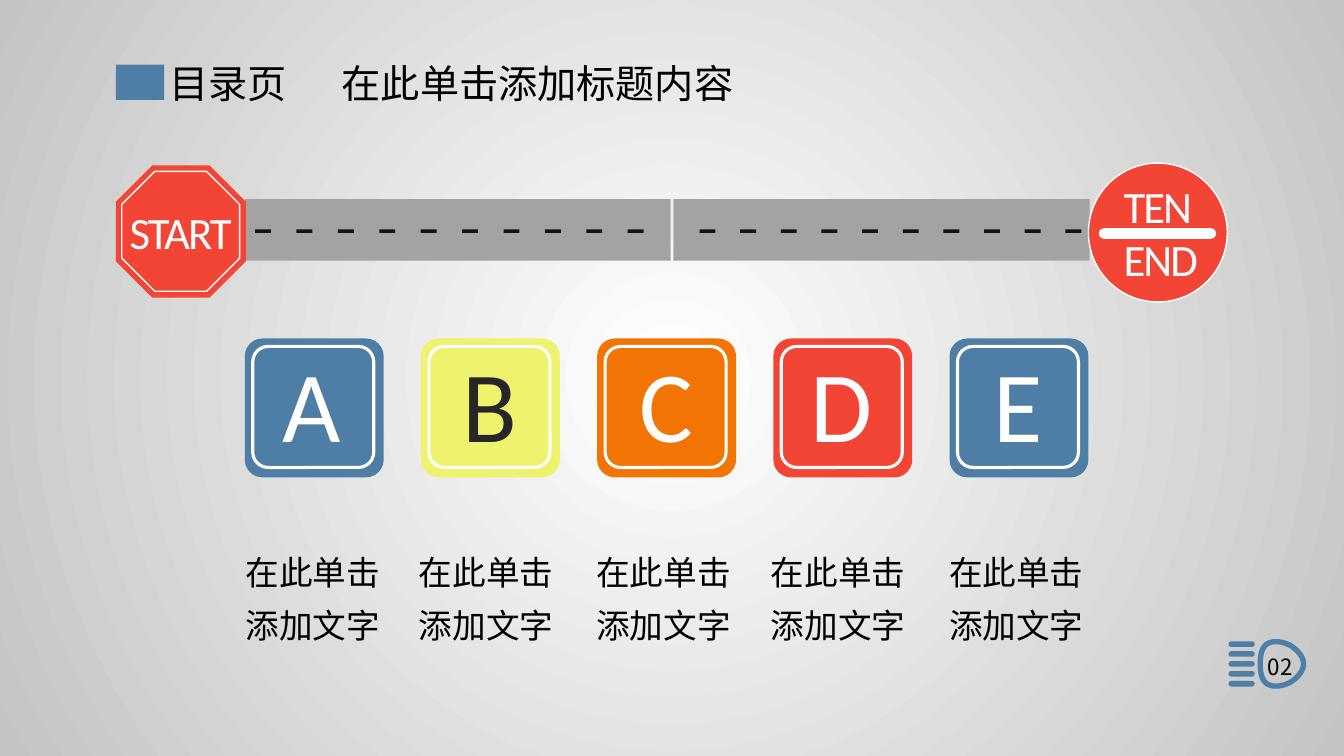
import pptx
import pptx.dml.color
import pptx.enum.shapes
import pptx.enum.text
import pptx.oxml
import pptx.oxml.ns
import pptx.util

Cm = pptx.util.Cm
Pt = pptx.util.Pt
SHAPE = pptx.enum.shapes.MSO_SHAPE
ALIGN = pptx.enum.text.PP_ALIGN
qn = pptx.oxml.ns.qn

BLUE, YELLOW, ORANGE, RED = "4E7DA6", "EEF26D", "F27405", "F24535"
WHITE, BLACK, DARK, GREY, INK = "FFFFFF", "000000", "262626", "A3A3A3", "141414"
CJK = "Noto Sans CJK SC"


def rgb(value):
    """Turn a hex string into a colour."""
    return pptx.dml.color.RGBColor.from_string(value)


def write(sp, text, size=24, font=CJK, color=BLACK, align=ALIGN.LEFT,
          spacing=None, track=None, wrap=True):
    """Put formatted text into a shape."""
    tf = sp.text_frame
    tf.word_wrap = wrap
    tf.auto_size = pptx.enum.text.MSO_AUTO_SIZE.NONE
    tf.vertical_anchor = pptx.enum.text.MSO_ANCHOR.TOP
    p = tf.paragraphs[0]
    p.text = text
    p.alignment = align
    if spacing:
        p.line_spacing = spacing
    for r in p.runs:
        r.font.size = Pt(size)
        r.font.name = font
        r.font.color.rgb = rgb(color)
        rpr = r.font._element
        rpr.find(qn("a:latin")).addnext(
            rpr.makeelement(qn("a:ea"), {"typeface": font}))
        if track:
            rpr.set("spc", str(track))


def bezier(a, b, c, d, steps=12):
    """Sample a cubic curve, leaving out its first point."""
    return [tuple((1 - t) ** 3 * m + 3 * (1 - t) ** 2 * t * n
                  + 3 * (1 - t) * t ** 2 * o + t ** 3 * q
                  for m, n, o, q in zip(a, b, c, d))
            for t in (i / steps for i in range(1, steps + 1))]


class Deck:
    """Hold the style and the current slide."""

    def __init__(self, prs):
        """Add a title-only slide."""
        self.s = prs.slides.add_slide(prs.slide_layouts[5])

    def background(self, inner, outer):
        """Fill the background with a radial gradient."""
        fill = self.s.background.fill
        fill.gradient()
        for stop, color in zip(fill.gradient_stops, (inner, outer)):
            stop.color.rgb = rgb(color)
        grad = next(self.s.element.iter(qn("a:gradFill")))
        grad.replace(grad.find(qn("a:lin")), pptx.oxml.parse_xml(
            '<a:path xmlns:a="http://schemas.openxmlformats.org/drawingml/2006/main" '
            'path="circle"><a:fillToRect l="50000" t="50000" r="50000" b="50000"/></a:path>'))

    def paint(self, sp, fill=None, line=None, width=1):
        """Set the fill and outline of a shape."""
        sp.shadow.inherit = False
        if fill:
            sp.fill.solid()
            sp.fill.fore_color.rgb = rgb(fill)
        else:
            sp.fill.background()
        if line:
            sp.line.color.rgb = rgb(line)
            sp.line.width = Pt(width)
        else:
            sp.line.fill.background()

    def shape(self, kind, x, y, w, h, adj=None, **style):
        """Add a preset shape."""
        sp = self.s.shapes.add_shape(kind, Cm(x), Cm(y), Cm(w), Cm(h))
        if adj is not None:
            sp.adjustments[0] = adj
        self.paint(sp, **style)

    def outline(self, contours, **style):
        """Add a freeform made of closed contours."""
        contours = [[(Cm(x), Cm(y)) for x, y in pts] for pts in contours]
        fb = self.s.shapes.build_freeform(*contours[0][0])
        for i, pts in enumerate(contours):
            if i:
                fb.move_to(*pts[0])
            fb.add_line_segments(pts[1:], close=True)
        self.paint(fb.convert_to_shape(), **style)

    def text(self, text, x, y, w, h, **fmt):
        """Add a text box."""
        sp = self.s.shapes.add_textbox(Cm(x), Cm(y), Cm(w), Cm(h))
        write(sp, text, **fmt)

    def title(self, text, x, y, w, h, **fmt):
        """Place and format the title."""
        sp = self.s.shapes.title
        sp.left, sp.top, sp.width, sp.height = Cm(x), Cm(y), Cm(w), Cm(h)
        write(sp, text, **fmt)

    def road(self, x, w, first, last, count=10):
        """Add a stretch of road with its dashes."""
        self.shape(SHAPE.RECTANGLE, x, 5.02, w, 1.55, fill=GREY)
        step = (last - first) / (count - 1)
        lefts = [first + i * step for i in range(count)]
        self.outline([[(l, 5.78), (l + 0.4, 5.78), (l + 0.4, 5.87), (l, 5.87)]
                      for l in lefts], fill=INK)

    def tile(self, x, letter, center, caption_x, fill, color):
        """Add a lettered tile and its caption."""
        self.shape(SHAPE.ROUNDED_RECTANGLE, x, 8.53, 3.5, 3.5, adj=0.127, fill=fill)
        self.shape(SHAPE.ROUNDED_RECTANGLE, x + 0.2, 8.73, 3.05, 3.05, adj=0.127,
                   line=WHITE, width=2.25)
        self.text(letter, center - 1, 8.48, 2, 3.33, size=72, font="Calibri",
                  color=color, align=ALIGN.CENTER, wrap=False)
        self.text("在此单击添加文字", caption_x, 13.49, 4.06, 2.92, spacing=1.3)

    def headlamp(self):
        """Add the headlamp around the page number."""
        upper = [(32.85, 16.73), (32.85, 16.59), (32.77, 16.46), (32.61, 16.33),
                 (32.49, 16.23), (32.31, 16.17), (32.16, 16.17),
                 (31.9, 16.17), (31.76, 16.31), (31.76, 16.73)]
        lower = [(x, 33.46 - y) for x, y in reversed(upper)]
        knots = upper + lower[1:]
        pts = knots[:1]
        for i in range(0, len(knots) - 1, 3):
            pts += bezier(*knots[i:i + 4])
        self.outline([pts], line=BLUE, width=3.8)
        for i in range(5):
            self.shape(SHAPE.ROUNDED_RECTANGLE, 30.96, 16.16 + 0.25 * i, 0.66, 0.14,
                       adj=0.5, fill=BLUE)


def main():
    """Build the slide."""
    prs = pptx.Presentation()
    prs.slide_width, prs.slide_height = Cm(33.87), Cm(19.05)
    deck = Deck(prs)
    deck.background(WHITE, "C4C4C4")

    deck.shape(SHAPE.RECTANGLE, 2.92, 1.63, 1.22, 0.89, fill=BLUE)
    deck.text("目录页", 4.01, 1.37, 3.78, 1.45, size=28)
    deck.title("在此单击添加标题内容", 8.36, 1.37, 10.82, 1.45, size=28)

    deck.road(6.18, 10.72, 6.43, 15.82)
    deck.road(16.97, 10.49, 17.63, 26.85)

    sign = dict(size=32, font="Calibri", color=WHITE, track=-150, wrap=False)
    deck.shape(SHAPE.OCTAGON, 2.92, 4.17, 3.28, 3.33, adj=0.28, fill=RED)
    deck.shape(SHAPE.OCTAGON, 3.07, 4.32, 2.97, 3.02, adj=0.28, fill=RED, line=WHITE)
    deck.text("START", 3.02, 5.03, 3.07, 1.63, **sign)
    deck.shape(SHAPE.OVAL, 27.43, 4.11, 3.5, 3.5, fill=RED, line=WHITE)
    deck.text("TEN\vEND", 28.07, 4.37, 2.57, 3, **{**sign, "wrap": True})
    deck.shape(SHAPE.ROUNDED_RECTANGLE, 27.71, 5.77, 2.92, 0.23, adj=0.5,
               fill=WHITE, line=WHITE)

    tiles = [("A", 7.86, 5.94, BLUE, WHITE), ("B", 12.36, 10.31, YELLOW, DARK),
             ("C", 16.79, 14.78, ORANGE, WHITE), ("D", 21.21, 19.18, RED, WHITE),
             ("E", 25.67, 23.67, BLUE, WHITE)]
    for i, tile in enumerate(tiles):
        deck.tile(6.17 + 4.44 * i, *tile)

    deck.headlamp()
    deck.text("02", 31.7, 16.33, 1.55, 0.94, size=16)
    prs.save("out.pptx")


if __name__ == "__main__":
    main()
